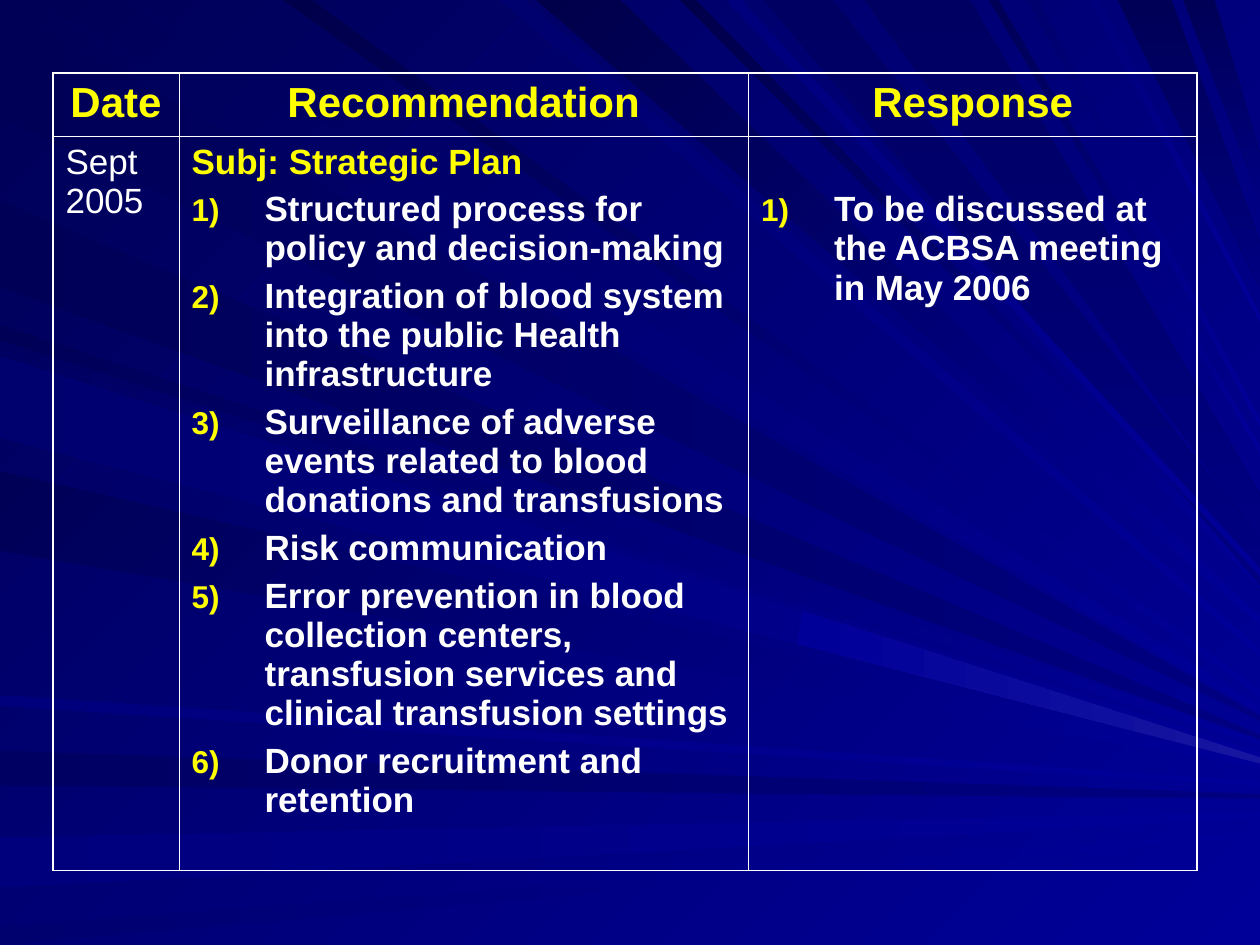
from lxml import etree
from pptx import Presentation
from pptx.dml.color import RGBColor
from pptx.enum.text import PP_ALIGN
from pptx.oxml.ns import qn
from pptx.util import Inches, Pt

WHITE = RGBColor(0xFF, 0xFF, 0xFF)
YELLOW = RGBColor(0xFF, 0xFF, 0x00)
BLUE = RGBColor(0x00, 0x00, 0x99)
GLOW = RGBColor(0x16, 0x16, 0xA1)
NAVY = RGBColor(0x00, 0x00, 0x80)
SOFT = RGBColor(0x00, 0x00, 0x7C)
MID = RGBColor(0x00, 0x00, 0x6E)
DIM = RGBColor(0x00, 0x00, 0x62)
DARK = RGBColor(0x00, 0x00, 0x57)
DEEP = RGBColor(0x00, 0x00, 0x4A)

# Gradient directions, counter-clockwise degrees
LEFT, UP_LEFT, DOWN = 180, 135, 270

# Rays from back to front: the slide edge they leave, where they leave it (from, to),
# the height at which they reach the right edge, and their gradient
RAYS = [
    ("left", 0.02, 0.93, 5.7, NAVY, DARK, LEFT),
    ("top", 0.26, 1.01, 5.63, BLUE, DARK, UP_LEFT),
    ("left", 5.96, 6.23, 6.32, NAVY, DIM, LEFT),
    ("left", 6.65, 7.04, 6.47, BLUE, SOFT, LEFT),
    ("left", 7.35, 7.5, 6.62, BLUE, MID, LEFT),
    ("left", 2.58, 2.7, 5.89, BLUE, DARK, UP_LEFT),
    ("left", 1.59, 2.28, 5.85, NAVY, DARK, LEFT),
    ("top", 3.98, 4.16, 5.18, BLUE, MID, UP_LEFT),
    ("top", 4.26, 4.92, 4.93, BLUE, DEEP, UP_LEFT),
    ("top", 5.4, 5.52, 4.63, BLUE, DEEP, UP_LEFT),
    ("top", 6.06, 6.61, 4.46, DIM, NAVY, DOWN),
    ("top", 8.87, 9.3, 2.1, DARK, NAVY, DOWN),
    ("top", 9.39, 9.64, 1.4, DARK, NAVY, DOWN),
    ("left", 2.78, 3.42, 6, BLUE, DIM, UP_LEFT),
    ("left", 3.74, 4.37, 6.06, BLUE, DARK, UP_LEFT),
    ("left", 5.52, 5.6, 6.22, BLUE, SOFT, LEFT),
    ("top", 2.25, 2.47, 5.5, BLUE, DEEP, UP_LEFT),
    ("top", 5.77, 5.88, 4.54, BLUE, SOFT, UP_LEFT),
    ("top", 6.86, 7.7, 4.1, DIM, NAVY, DOWN),
    ("top", 7.85, 7.92, 3.57, BLUE, DARK, UP_LEFT),
    ("top", 8.15, 8.24, 3.36, BLUE, MID, UP_LEFT),
    ("top", 8.65, 8.72, 2.53, BLUE, SOFT, UP_LEFT),
    ("left", 2.83, 3.47, 6.04, BLUE, MID, LEFT),
]
TIP_SPREAD = {LEFT: 0.02, UP_LEFT: 0.03, DOWN: 0.18}
STREAK = [(6.37, 4.85), (6.33, 5.11), (10, 6.06), (10, 6.01)]

HEADINGS = ["Date", "Recommendation", "Response"]
RECOMMENDATIONS = [
    "Structured process for policy and decision-making",
    "Integration of blood system into the public Health infrastructure",
    "Surveillance of adverse events related to blood donations and transfusions",
    "Risk communication",
    "Error prevention in blood collection centers, transfusion services and "
    "clinical transfusion settings",
    "Donor recruitment and retention",
]
RESPONSES = ["To be discussed at the ACBSA meeting in May 2006"]


def paint(fill, start, end, direction):
    """Fill with a two-colour linear gradient."""
    fill.gradient()
    fill.gradient_angle = direction
    for stop, color in zip(fill.gradient_stops, (start, end)):
        stop.color.rgb = color


def write(cell, text, size=20, color=WHITE, bold=True, numbered=False):
    """Add one paragraph to the cell, using its empty first one if free."""
    frame = cell.text_frame
    is_first = not frame.text
    paragraph = frame.paragraphs[0] if is_first else frame.add_paragraph()
    if numbered:
        properties = paragraph._p.get_or_add_pPr()
        properties.set("marL", str(Inches(0.58)))
        properties.set("indent", str(-Inches(0.58)))
        bullet_color = etree.SubElement(properties, qn("a:buClr"))
        etree.SubElement(bullet_color, qn("a:srgbClr"), val=str(YELLOW))
        etree.SubElement(properties, qn("a:buSzPct"), val="90000")
        etree.SubElement(properties, qn("a:buAutoNum"), type="arabicParenR")
    if not is_first:
        paragraph.space_before = Pt(5)
    run = paragraph.add_run()
    run.text = text
    run.font.name = "Arial"
    run.font.size = Pt(size)
    run.font.bold = bold
    run.font.color.rgb = color
    return paragraph


prs = Presentation()
prs.slide_width, prs.slide_height = Inches(10), Inches(7.5)
slide = prs.slides.add_slide(prs.slide_layouts[6])
paint(slide.background.fill, BLUE, DARK, UP_LEFT)

beams = []
for edge, near, far, tip, start, end, direction in RAYS:
    spread = TIP_SPREAD[direction]
    if edge == "left":
        corners = [(0, far), (0, near), (10, tip - spread), (10, tip + spread)]
    else:
        corners = [(near, 0), (far, 0), (10, tip - spread), (10, tip + spread)]
    beams.append((corners, start, end, direction))
beams.append((STREAK, GLOW, BLUE, LEFT))

for corners, start, end, direction in beams:
    points = [(Inches(x), Inches(y)) for x, y in corners]
    builder = slide.shapes.build_freeform(*points[0])
    builder.add_line_segments(points[1:], close=True)
    beam = builder.convert_to_shape()
    beam.shadow.inherit = False
    beam.line.fill.background()
    paint(beam.fill, start, end, direction)

table = slide.shapes.add_table(
    2, 3, Inches(0.42), Inches(0.58), Inches(9.08), Inches(6.33)).table
table.first_row = table.horz_banding = False
for column, width in zip(table.columns, (1, 4.52, 3.56)):
    column.width = Inches(width)
for row, height in zip(table.rows, (0.5, 5.83)):
    row.height = Inches(height)

# Thicker border around the table, thin rules inside
for row in range(2):
    for col in range(3):
        cell = table.cell(row, col)
        outer_sides = {"lnL": col == 0, "lnR": col == 2, "lnT": row == 0, "lnB": row == 1}
        for side, is_outer in outer_sides.items():
            border = etree.SubElement(cell._tc.get_or_add_tcPr(), qn(f"a:{side}"),
                                      w=str(Pt(1.08 if is_outer else 0.45)))
            border_fill = etree.SubElement(border, qn("a:solidFill"))
            etree.SubElement(border_fill, qn("a:srgbClr"), val=str(WHITE))
        cell.fill.background()

for col, heading in enumerate(HEADINGS):
    write(table.cell(0, col), heading, size=24, color=YELLOW).alignment = PP_ALIGN.CENTER

date_cell, recommendation_cell, response_cell = table.rows[1].cells
write(date_cell, "Sept 2005", bold=False)
write(recommendation_cell, "Subj: Strategic Plan", color=YELLOW)
for recommendation in RECOMMENDATIONS:
    write(recommendation_cell, recommendation, numbered=True)
# Start level with the first recommendation, below the subject line
response_cell.margin_top = Inches(0.43)
for response in RESPONSES:
    write(response_cell, response, numbered=True)

prs.save("out.pptx")
